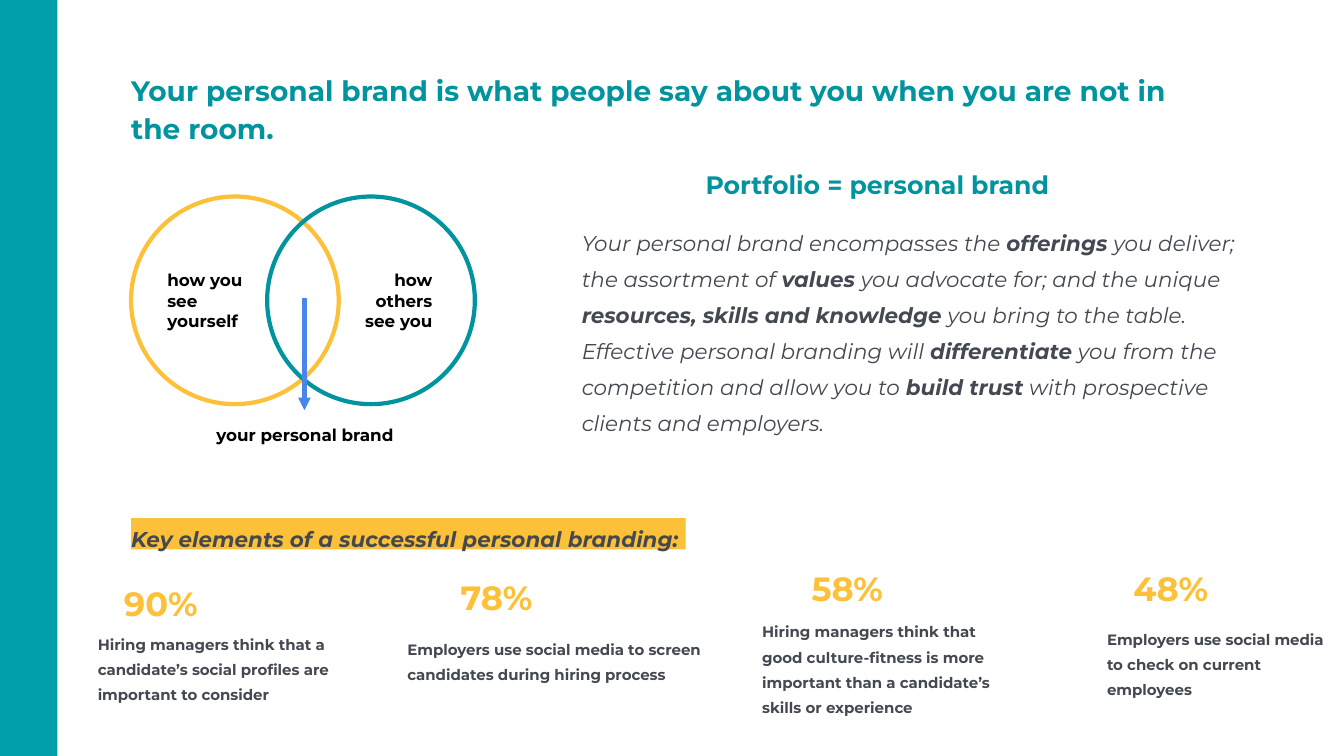
"""Builds the personal brand slide."""
from dataclasses import dataclass

from lxml.etree import SubElement
from pptx import Presentation
from pptx.dml.color import RGBColor
from pptx.enum.shapes import MSO_CONNECTOR as Connector, MSO_SHAPE as Preset
from pptx.enum.text import MSO_ANCHOR as Anchor, MSO_AUTO_SIZE as AutoSize, PP_ALIGN as Align
from pptx.oxml.ns import qn
from pptx.shapes.autoshape import Shape
from pptx.slide import Slide
from pptx.util import Emu, Pt

EMU_PER_PX = 9144
FONT = "Montserrat"
TEAL, BAR_TEAL, YELLOW, BLUE = "01949E", "019FAB", "FDC039", "4A86E8"
GREY, BLACK = "444851", "000000"


@dataclass(frozen=True)
class Box:
    """A rectangle in px."""
    left: int
    top: int
    width: int
    height: int


@dataclass(frozen=True)
class Style:
    """The look of a text block."""
    size: float
    color: str
    bold: bool = True
    italic: bool = False
    spacing: float = 1.0
    align: Align = Align.LEFT
    inset_x: int = 0
    inset_y: int = 0
    anchor: Anchor = Anchor.TOP


@dataclass(frozen=True)
class Circle:
    """A Venn circle with its label."""
    outline: Box
    color: str
    label: str
    label_box: Box
    align: Align


@dataclass(frozen=True)
class Stat:
    """A percentage with its explanation."""
    share: str
    share_box: Box
    finding: str
    finding_box: Box


TITLE = "Your personal brand is what people say about you when you are not in the room."
DEFINITION = [
    "Your personal brand encompasses the ", "offerings",
    " you deliver; the assortment of ", "values",
    " you advocate for; and the unique ", "resources, skills and knowledge",
    " you bring to the table. Effective personal branding will ", "differentiate",
    " you from the competition and allow you to ", "build trust",
    " with prospective clients and employers.",
]
CIRCLES = [
    Circle(Box(130, 195, 206, 206), YELLOW, "how you see yourself",
           Box(159, 261, 90, 74), Align.LEFT),
    Circle(Box(265, 195, 206, 206), TEAL, "how others see you",
           Box(346, 261, 90, 74), Align.RIGHT),
]
STATS = [
    Stat("90%", Box(123, 562, 96, 57),
         "Hiring managers think that a candidate’s social profiles are important to consider",
         Box(97, 623, 267, 75)),
    Stat("78%", Box(457, 556, 96, 57),
         "Employers use social media to screen candidates during hiring process",
         Box(404, 628, 355, 50)),
    Stat("58%", Box(805, 547, 96, 57),
         "Hiring managers think that good culture-fitness is more important than "
         "a candidate’s skills or experience",
         Box(756, 611, 233, 100)),
    Stat("48%", Box(1124, 547, 100, 57),
         "Employers use social media to check on current employees",
         Box(1098, 618, 223, 75)),
]
TITLE_STYLE = Style(20, TEAL, spacing=1.12)
DEFINITION_STYLE = Style(15.3, GREY, bold=False, italic=True, spacing=1.4)
SUBTITLE_STYLE = Style(18, TEAL, inset_x=10, inset_y=5)
KEY_STYLE = Style(15.3, GREY, italic=True, spacing=1.4, anchor=Anchor.MIDDLE)
SHARE_STYLE = Style(24, YELLOW, spacing=1.4)
FINDING_STYLE = Style(10.7, GREY, spacing=1.4)


def px(length: int) -> Emu:
    """Turn px into EMU."""
    return Emu(length * EMU_PER_PX)


def rgb(color: str) -> RGBColor:
    """Turn a hex string into a colour."""
    return RGBColor.from_string(color)


def corners(box: Box) -> tuple[Emu, Emu, Emu, Emu]:
    """Give a box as left, top, width and height in EMU."""
    return px(box.left), px(box.top), px(box.width), px(box.height)


def place(shape: Shape, box: Box) -> None:
    """Move a placeholder into a box."""
    shape.left, shape.top, shape.width, shape.height = corners(box)


def format_text(shape: Shape, style: Style) -> None:
    """Apply a style to the text of a shape."""
    frame = shape.text_frame
    frame.word_wrap = True
    frame.auto_size = AutoSize.NONE
    frame.vertical_anchor = style.anchor
    frame.margin_left = frame.margin_right = px(style.inset_x)
    frame.margin_top = frame.margin_bottom = px(style.inset_y)
    for paragraph in frame.paragraphs:
        paragraph.alignment = style.align
        paragraph.line_spacing = style.spacing
        paragraph.space_before = Pt(0)
        for run in paragraph.runs:
            run.font.name = FONT
            run.font.size = Pt(style.size)
            run.font.bold = style.bold
            run.font.italic = style.italic
            run.font.color.rgb = rgb(style.color)


def add_text(slide: Slide, text: str, box: Box, style: Style) -> None:
    """Add a text box."""
    block = slide.shapes.add_textbox(*corners(box))
    block.text_frame.text = text
    format_text(block, style)


def add_band(slide: Slide, box: Box, color: str) -> Shape:
    """Add a filled rectangle without outline."""
    band = slide.shapes.add_shape(Preset.RECTANGLE, *corners(box))
    band.shadow.inherit = False
    band.fill.solid()
    band.fill.fore_color.rgb = rgb(color)
    band.line.fill.background()
    return band


def add_definition(slide: Slide) -> None:
    """Fill the body with the definition, every second part in bold."""
    body = slide.placeholders[1]
    place(body, Box(577, 218, 678, 216))
    paragraph = body.text_frame.paragraphs[0]
    for part in DEFINITION:
        paragraph.add_run().text = part
    format_text(body, DEFINITION_STYLE)
    for keyword in paragraph.runs[1::2]:
        keyword.font.bold = True
    properties = paragraph._p.get_or_add_pPr()
    properties.set("marL", "0")
    properties.set("indent", "0")
    SubElement(properties, qn("a:buNone"))


def add_venn(slide: Slide) -> None:
    """Draw the two circles, their labels and the arrow to the overlap's name."""
    for circle in CIRCLES:
        ring = slide.shapes.add_shape(Preset.OVAL, *corners(circle.outline))
        ring.shadow.inherit = False
        ring.fill.background()
        ring.line.color.rgb = rgb(circle.color)
        ring.line.width = Pt(3)
    for circle in CIRCLES:
        add_text(slide, circle.label, circle.label_box,
                 Style(12, BLACK, align=circle.align, inset_x=7, inset_y=7))
    arrow = slide.shapes.add_connector(Connector.STRAIGHT, px(302), px(296), px(302), px(407))
    arrow.line.color.rgb = rgb(BLUE)
    arrow.line.width = Pt(3)
    SubElement(arrow.line._get_or_add_ln(), qn("a:tailEnd"), type="triangle")
    SubElement(arrow._element.spPr, qn("a:effectLst"))
    add_text(slide, "your personal brand", Box(162, 414, 281, 34),
             Style(12, BLACK, align=Align.CENTER, inset_x=7, inset_y=7))


def main() -> None:
    """Build and save the slide."""
    deck = Presentation()
    deck.slide_width, deck.slide_height = px(1333), px(750)
    slide = deck.slides.add_slide(deck.slide_layouts[1])
    add_band(slide, Box(0, 0, 57, 750), BAR_TEAL)
    title = slide.shapes.title
    place(title, Box(130, 69, 1051, 75))
    title.text_frame.text = TITLE
    format_text(title, TITLE_STYLE)
    add_definition(slide)
    add_venn(slide)
    key_elements = add_band(slide, Box(130, 514, 550, 31), YELLOW)
    key_elements.text_frame.text = "Key elements of a successful personal branding:"
    format_text(key_elements, KEY_STYLE)
    for stat in STATS:
        add_text(slide, stat.share, stat.share_box, SHARE_STYLE)
        add_text(slide, stat.finding, stat.finding_box, FINDING_STYLE)
    add_text(slide, "Portfolio = personal brand", Box(690, 163, 424, 40), SUBTITLE_STYLE)
    deck.save("out.pptx")


if __name__ == "__main__":
    main()
